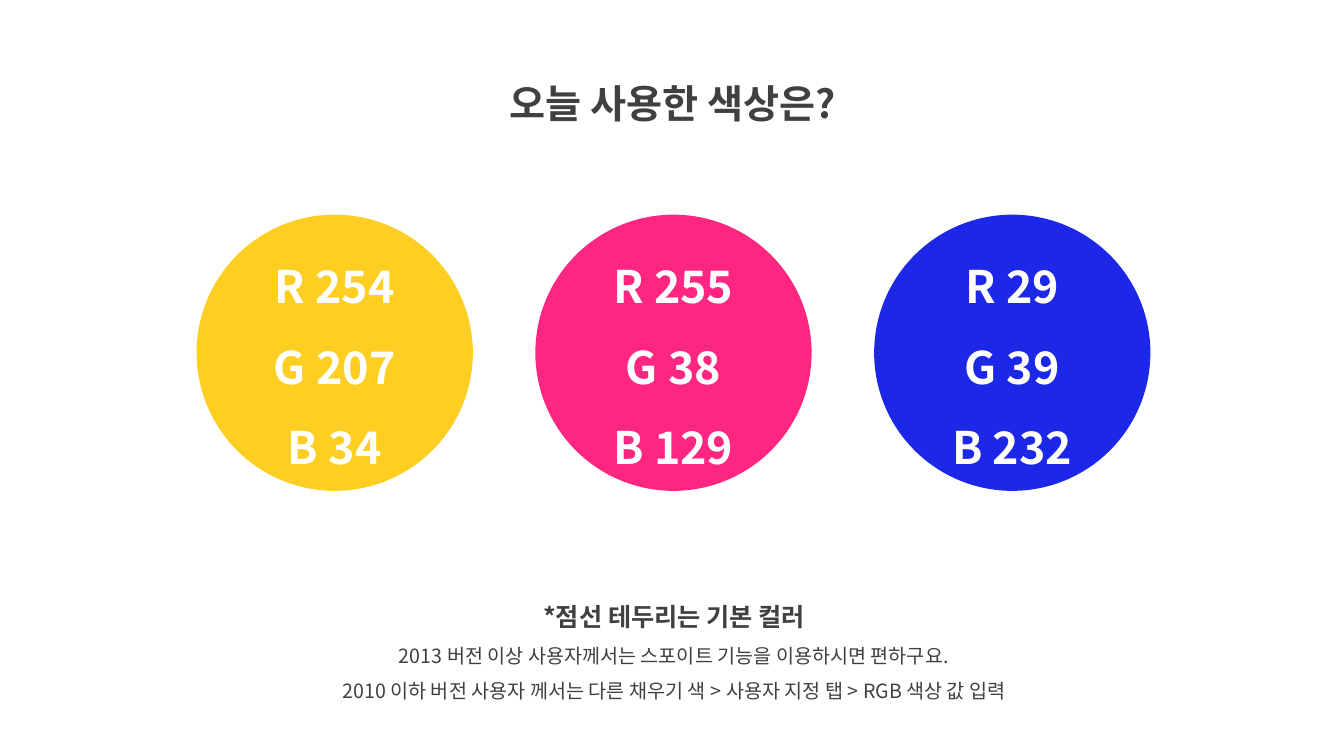
from pptx import Presentation
from pptx.dml.color import RGBColor
from pptx.enum import shapes, text
from pptx.oxml.ns import qn
from pptx.util import Inches, Pt

FONT = "Noto Sans CJK KR"
WHITE = RGBColor(255, 255, 255)
GRAY = RGBColor(64, 64, 64)
YELLOW = RGBColor(254, 207, 34)
PINK = RGBColor(255, 38, 129)
BLUE = RGBColor(29, 39, 232)


def write_lines(frame, lines, color):
    """Fill a text frame with centred lines of (wording, size, bold)."""
    frame.word_wrap = True
    for index, (wording, size, bold) in enumerate(lines):
        para = frame.add_paragraph() if index else frame.paragraphs[0]
        para.alignment = text.PP_ALIGN.CENTER
        para.line_spacing = 1.5
        span = para.add_run()
        span.text = wording
        span.font.size = Pt(size)
        span.font.bold = bold
        span.font.color.rgb = color
        span.font.name = FONT
        east_asian = span.font._element.makeelement(qn("a:ea"), {"typeface": FONT})
        span.font._element.append(east_asian)


def add_text(page, left, top, width, height, lines):
    box = page.shapes.add_textbox(Inches(left), Inches(top), Inches(width), Inches(height))
    write_lines(box.text_frame, lines, GRAY)
    box.text_frame.auto_size = text.MSO_AUTO_SIZE.SHAPE_TO_FIT_TEXT


deck = Presentation()
deck.slide_width = Inches(13.33)
deck.slide_height = Inches(7.5)
page = deck.slides.add_slide(deck.slide_layouts[6])

add_text(page, 4.36, 0.5, 4.63, 0.72, [("오늘 사용한 색상은?", 28, True)])
add_text(page, 2.69, 5.77, 7.99, 1.26, [
    ("*점선 테두리는 기본 컬러", 18, True),
    ("2013 버전 이상 사용자께서는 스포이트 기능을 이용하시면 편하구요.", 14, False),
    ("2010 이하 버전 사용자 께서는 다른 채우기 색 > 사용자 지정 탭 > RGB 색상 값 입력", 14, False),
])

# Each circle shows the channel values of its own fill colour.
DIAMETER = Inches(2.74)
for column, color in enumerate([YELLOW, PINK, BLUE]):
    left = Inches(1.95 + 3.36 * column)
    circle = page.shapes.add_shape(shapes.MSO_SHAPE.OVAL, left, Inches(2.13), DIAMETER, DIAMETER)
    circle.shadow.inherit = False
    circle.fill.solid()
    circle.fill.fore_color.rgb = color
    circle.line.fill.background()
    circle.text_frame.vertical_anchor = text.MSO_ANCHOR.MIDDLE
    channels = [(f"{name} {value}", 32, True) for name, value in zip("RGB", color)]
    write_lines(circle.text_frame, channels, WHITE)

deck.save("out.pptx")
